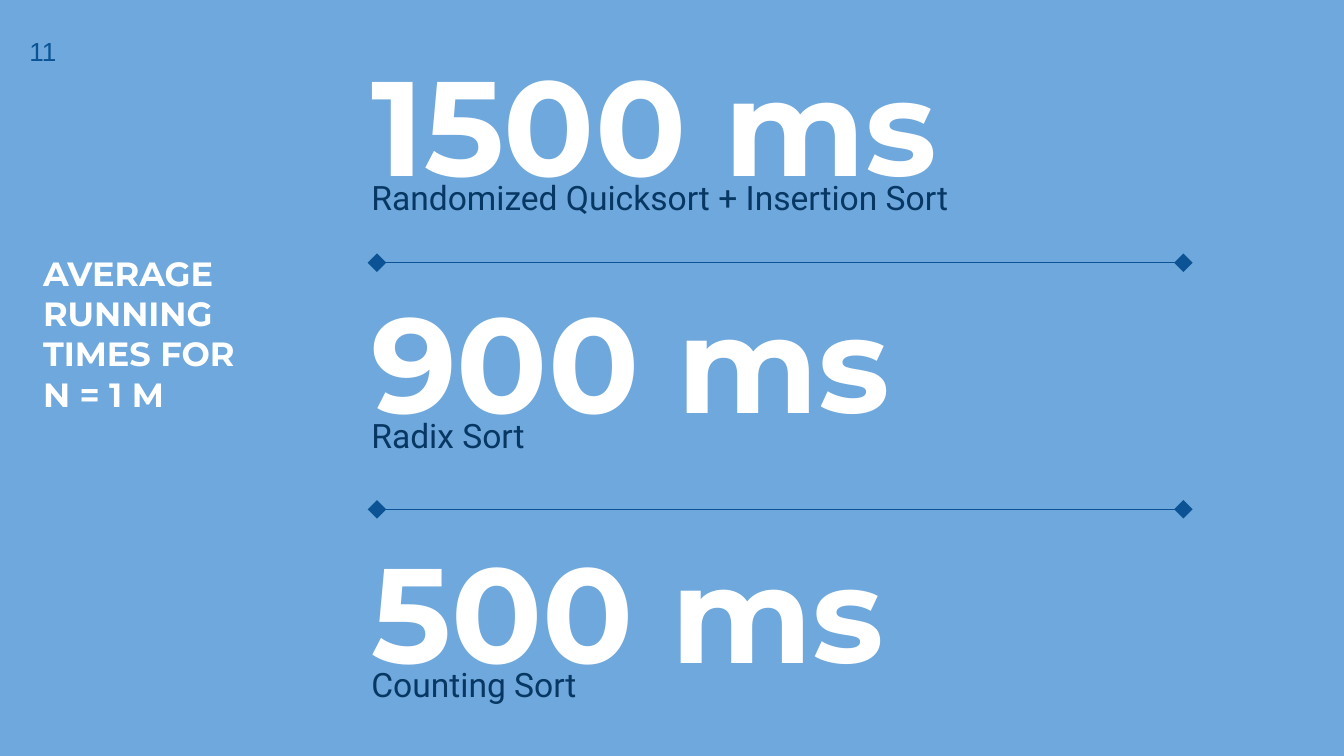
from lxml import etree
from pptx import Presentation, util as u
from pptx.dml.color import RGBColor
from pptx.enum import shapes, text
from pptx.oxml import ns

PX = 4572  # EMU; 200 px to the inch
INK = {"sky": "6FA8DC", "white": "FFFFFF", "navy": "073763", "blue": "0B5394"}
TIMES = [
    (42, "1500 ms", "Randomized Quicksort + Insertion Sort"),
    (396, "900 ms", "Radix Sort"),
    (767, "500 ms", "Counting Sort"),
]


def px(*vals):
    return [u.Emu(v * PX) for v in vals]


def rgb(name):
    return RGBColor.from_string(INK[name])


def write(shape, words, font, size, color, bold=False):
    frame = shape.text_frame
    frame.word_wrap = True
    frame.auto_size = text.MSO_AUTO_SIZE.NONE
    frame.vertical_anchor = text.MSO_ANCHOR.TOP
    frame.margin_left, frame.margin_top, frame.margin_right, frame.margin_bottom = px(20, 20, 20, 20)
    para = frame.paragraphs[0]
    para.alignment = text.PP_ALIGN.LEFT
    run = para.add_run()
    run.text = words
    run.font.name, run.font.size, run.font.bold = font, u.Pt(size), bold
    run.font.color.rgb = rgb(color)


def label(slide, box, words, **style):
    write(slide.shapes.add_textbox(*px(*box)), words, **style)


def title(slide, box, words, **style):
    shape = slide.shapes.title
    shape.left, shape.top, shape.width, shape.height = px(*box)
    write(shape, words, **style)


def rule(slide, left, right, top):
    """Draw a level line with a diamond at each end."""
    line = slide.shapes.add_connector(
        shapes.MSO_CONNECTOR.STRAIGHT, *px(left, top, right, top))
    line.line.color.rgb = rgb("blue")
    line.line.width = u.Pt(0.75)
    props = line.line._get_or_add_ln()
    for end in ("a:headEnd", "a:tailEnd"):
        etree.SubElement(props, ns.qn(end), type="diamond", w="lg", len="lg")
    etree.SubElement(line._element.spPr, ns.qn("a:effectLst"))


def main():
    deck = Presentation()
    deck.slide_width, deck.slide_height = px(2000, 1125)
    slide = deck.slides.add_slide(deck.slide_layouts[5])
    fill = slide.background.fill
    fill.solid()
    fill.fore_color.rgb = rgb("sky")

    title(slide, (44, 356, 374, 188), "AVERAGE RUNNING TIMES FOR N = 1 M",
          font="Montserrat", size=18, color="white", bold=True)
    label(slide, (24, 33, 396, 274), "11", font="Arial", size=14, color="blue")
    for top, time, sort in TIMES:
        label(slide, (533, top, 1294, 196), time,
              font="Montserrat", size=72, color="white", bold=True)
        label(slide, (533, top + 201, 1294, 102), sort,
              font="Roboto", size=18, color="navy")
    for top in (391, 758):
        rule(slide, 561, 1761, top)
    deck.save("out.pptx")


if __name__ == "__main__":
    main()
